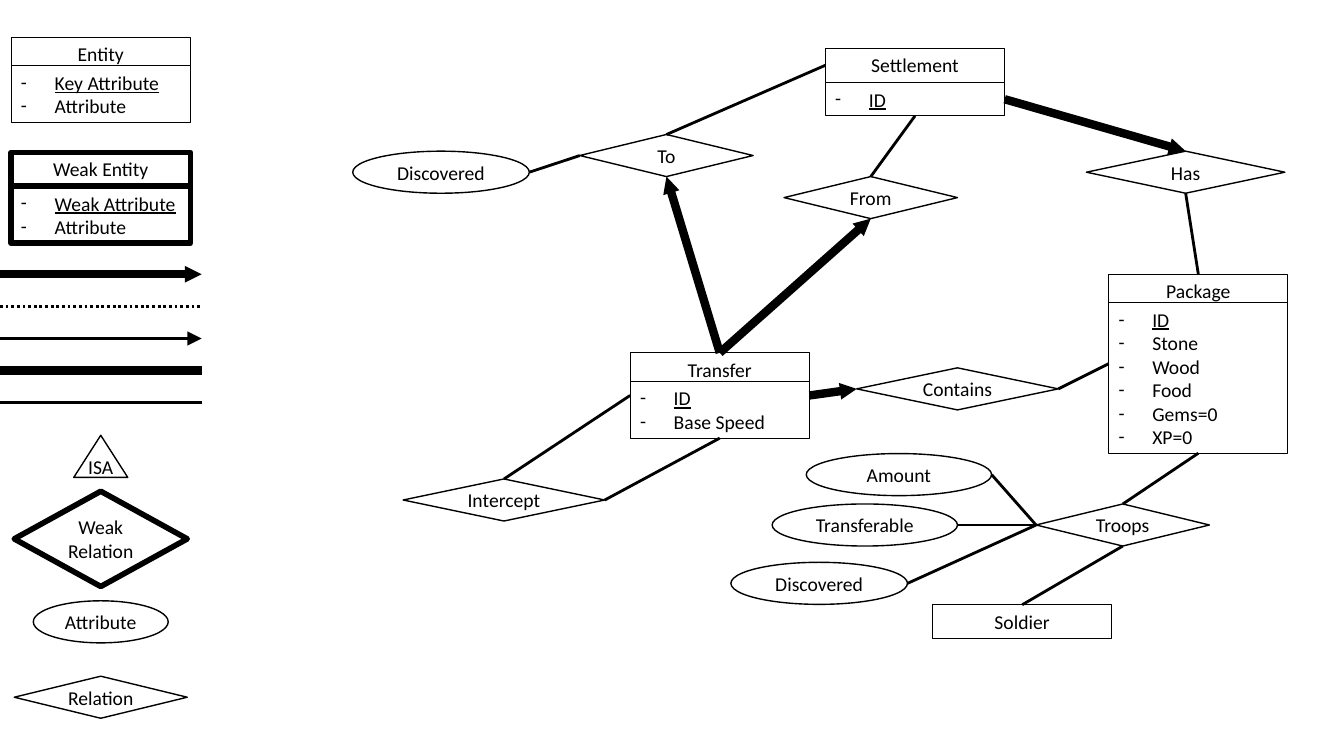
from dataclasses import dataclass

from lxml.etree import SubElement
from pptx import Presentation
from pptx.dml.color import RGBColor
from pptx.enum.dml import MSO_LINE as Dash
from pptx.enum.shapes import MSO_CONNECTOR as Conn, MSO_SHAPE as Geo
from pptx.enum.text import MSO_ANCHOR as Anchor, MSO_AUTO_SIZE as Fit, PP_ALIGN as Align
from pptx.oxml.ns import qn
from pptx.util import Cm, Pt


@dataclass(frozen=True)
class Theme:
    ink: RGBColor = RGBColor(0, 0, 0)
    paper: RGBColor = RGBColor(255, 255, 255)
    font: str = "Calibri"
    size: Pt = Pt(14)
    hair: Pt = Pt(0)
    thin: Pt = Pt(1)
    link: Pt = Pt(2)
    weak: Pt = Pt(4)
    bold: Pt = Pt(6)


T = Theme()
TOP, LEFT, BOTTOM, RIGHT = range(4)
CARD_W, HEAD_H, ROW_H, PAD = 4.52, 0.85, 0.59, 0.25
FLAT = 1.06  # height of ellipses and diamonds


def write(para, text, under=False):
    run = para.add_run()
    run.text = text
    font = run.font
    font.name, font.size, font.underline = T.font, T.size, under
    font.color.rgb = T.ink


def dash_mark(para):
    """Give the paragraph a hanging dash bullet."""
    props = para._p.get_or_add_pPr()
    props.set("marL", str(Cm(0.85)))
    props.set("indent", str(-Cm(0.85)))
    tint = SubElement(props, qn("a:buClr"))
    SubElement(tint, qn("a:srgbClr")).set("val", str(T.ink))
    SubElement(props, qn("a:buFont")).set("typeface", T.font)
    SubElement(props, qn("a:buChar")).set("char", "-")


def draw(slide, geo, x, y, w, h, weight, lines=()):
    shape = slide.shapes.add_shape(geo, Cm(x), Cm(y), Cm(w), Cm(h))
    shape.shadow.inherit = False
    if geo == Geo.OVAL:
        shape.fill.background()
    else:
        shape.fill.solid()
        shape.fill.fore_color.rgb = T.paper
    shape.line.color.rgb = T.ink
    shape.line.width = weight
    frame = shape.text_frame
    frame.word_wrap = True
    frame.vertical_anchor = Anchor.MIDDLE
    for i, text in enumerate(lines):
        para = frame.add_paragraph() if i else frame.paragraphs[0]
        para.alignment = Align.CENTER
        write(para, text)
    return shape


def trim(shape):
    """Take away the text margins."""
    frame = shape.text_frame
    frame.margin_left = frame.margin_right = frame.margin_top = frame.margin_bottom = 0
    return frame


def entity(slide, x, y, name, items=(), weight=T.hair, drop=0.72):
    """Draw a name bar and, below it, a list whose first item is the key."""
    head = draw(slide, Geo.RECTANGLE, x, y, CARD_W, HEAD_H, weight, [name])
    parts = [head]
    if items:
        body = draw(slide, Geo.RECTANGLE, x, y + drop, CARD_W,
                    PAD + ROW_H * len(items), weight)
        frame = body.text_frame
        for i, item in enumerate(items):
            para = frame.add_paragraph() if i else frame.paragraphs[0]
            para.alignment = Align.LEFT
            dash_mark(para)
            write(para, item, under=i == 0)
        parts.append(body)
    for part in parts:
        part.text_frame.vertical_anchor = Anchor.TOP
        part.text_frame.auto_size = Fit.SHAPE_TO_FIT_TEXT
    return parts


def oval(slide, x, y, w, text):
    return draw(slide, Geo.OVAL, x, y, w, FLAT, T.thin, [text])


def diamond(slide, x, y, w, text):
    return draw(slide, Geo.DIAMOND, x, y, w, FLAT, T.thin, [text])


def spot(first, side, last=None):
    """Middle of a side of a shape, or of a stack from first to last."""
    last = last or first
    low = last.top + last.height
    mid_x, mid_y = first.left + first.width // 2, (first.top + low) // 2
    return [(mid_x, first.top), (first.left, mid_y),
            (mid_x, low), (first.left + first.width, mid_y)][side]


def stroke(slide, start, end, weight=T.link, arrow=False, dash=None):
    line = slide.shapes.add_connector(Conn.STRAIGHT, *start, *end)
    line.line.color.rgb = T.ink
    line.line.width = weight
    if dash:
        line.line.dash_style = dash
    if arrow:
        tip = SubElement(line.line._get_or_add_ln(), qn("a:tailEnd"))
        tip.set("type", "triangle")
        for key in ("w", "len"):
            tip.set(key, "sm" if weight == T.bold else "lg")
    SubElement(line._element.spPr, qn("a:effectLst"))
    return line


def link(slide, start, end, arrow=False):
    """Join two ends, each (shape, side) or (first, side, last)."""
    line = stroke(slide, spot(*start), spot(*end), T.bold if arrow else T.link, arrow)
    for stop, join in ((start, line.begin_connect), (end, line.end_connect)):
        if len(stop) == 2 and stop[0].auto_shape_type != Geo.OVAL:
            join(*stop)


def legend(slide, x, y, w):
    mid = x + w / 2
    card = mid - CARD_W / 2
    entity(slide, card, y, "Entity", ["Key Attribute", "Attribute"])
    entity(slide, card, y + 2.9, "Weak Entity", ["Weak Attribute", "Attribute"],
           T.weak, drop=0.86)

    kinds = [(T.bold, True, None), (T.link, False, Dash.ROUND_DOT),
             (T.link, True, None), (T.bold, False, None), (T.link, False, None)]
    for i, kind in enumerate(kinds):
        row = Cm(y + 5.97 + 0.81 * i)
        stroke(slide, (Cm(x), row), (Cm(x + w), row), *kind)

    isa = draw(slide, Geo.ISOSCELES_TRIANGLE, mid - 0.68, y + 10.03, 1.36, FLAT,
               T.thin, ["ISA"])
    trim(isa).word_wrap = False
    trim(draw(slide, Geo.DIAMOND, mid - 2.18, y + 11.44, 4.36, 2.4, T.weak,
              ["Weak", "Relation"]))
    oval(slide, mid - 1.7, y + 14.2, 3.4, "Attribute")
    diamond(slide, mid - 2.18, y + 16.1, 4.36, "Relation")


def model(slide, x, y):
    town, town_list = entity(slide, x + 11.91, y, "Settlement", ["ID"], drop=0.86)
    move, move_list = entity(slide, x + 6.99, y + 7.67, "Transfer", ["ID", "Base Speed"])
    pack, pack_list = entity(slide, x + 19.05, y + 5.69, "Package",
                             ["ID", "Stone", "Wood", "Food", "Gems=0", "XP=0"])
    [soldier] = entity(slide, x + 14.61, y + 14.02, "Soldier")

    to, source, has, holds, troops, block = [
        diamond(slide, x + dx, y + dy, w, text) for dx, dy, w, text in (
            (5.72, 2.17, 4.37, "To"), (10.87, 3.23, 4.37, "From"),
            (18.49, 2.59, 5, "Has"), (12.7, 8.05, 5.08, "Contains"),
            (17.22, 11.48, 4.37, "Troops"), (1.27, 10.85, 5.08, "Intercept"))]
    found, *traits = [
        oval(slide, x + dx, y + dy, w, text) for dx, dy, w, text in (
            (0, 2.59, 4.45, "Discovered"), (11.43, 10.21, 4.67, "Amount"),
            (10.57, 11.48, 4.67, "Transferable"), (9.53, 12.95, 4.45, "Discovered"))]

    for start, end in (
            ((town_list, RIGHT), (has, TOP)),
            ((move, TOP), (to, BOTTOM)),
            ((move, TOP), (source, BOTTOM)),
            ((move, RIGHT, move_list), (holds, LEFT))):
        link(slide, start, end, arrow=True)
    for start, end in (
            ((town, LEFT), (to, TOP)),
            ((source, TOP), (town_list, BOTTOM)),
            ((to, LEFT), (found, RIGHT)),
            ((pack, TOP), (has, BOTTOM)),
            ((pack, LEFT, pack_list), (holds, RIGHT)),
            ((pack_list, BOTTOM), (troops, TOP)),
            ((troops, BOTTOM), (soldier, TOP)),
            ((move, LEFT, move_list), (block, TOP)),
            ((move_list, BOTTOM), (block, RIGHT)),
            *(((troops, LEFT), (trait, RIGHT)) for trait in traits)):
        link(slide, start, end)


def main():
    deck = Presentation()
    deck.slide_width, deck.slide_height = Cm(33.87), Cm(19.05)
    slide = deck.slides.add_slide(deck.slide_layouts[6])
    legend(slide, 0, 0.94, 5.08)
    model(slide, 8.89, 1.22)
    deck.save("out.pptx")


if __name__ == "__main__":
    main()
